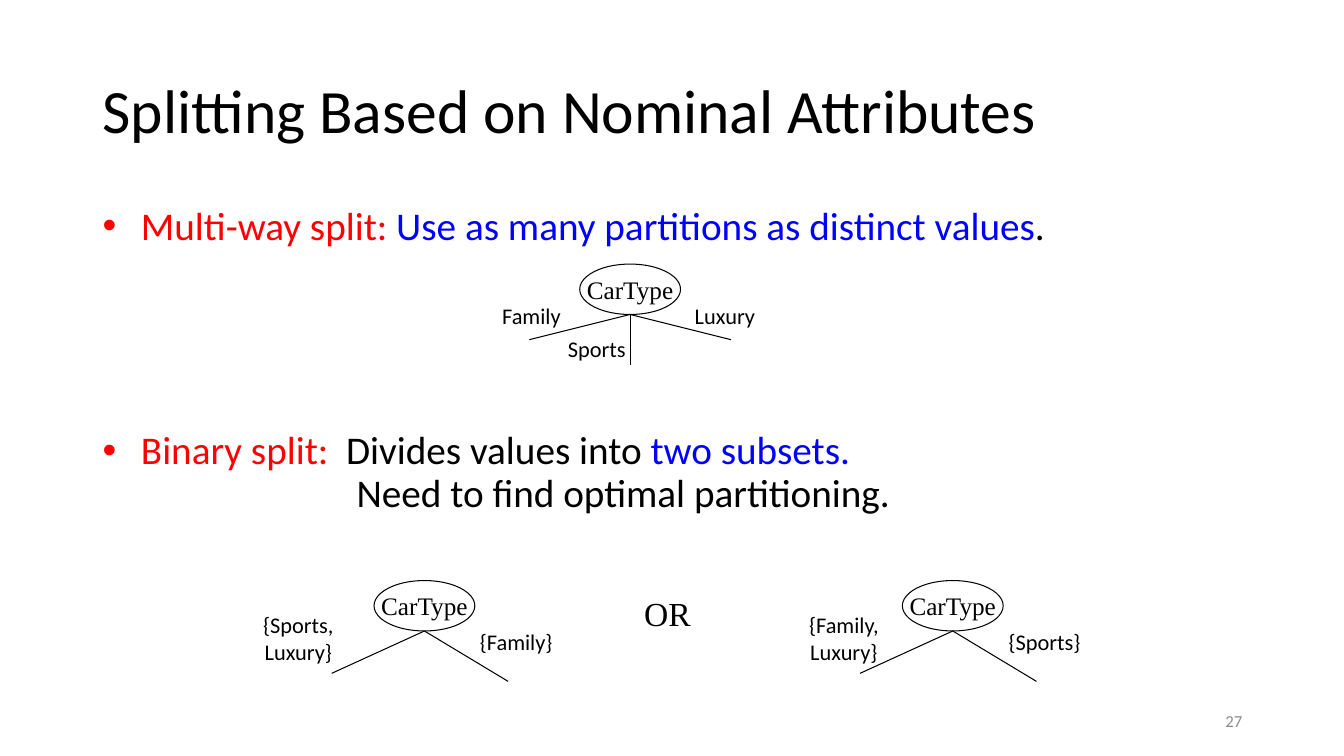
from lxml.etree import SubElement
from pptx import Presentation
from pptx.dml.color import RGBColor
from pptx.enum.shapes import MSO_CONNECTOR, MSO_SHAPE
from pptx.enum.text import MSO_ANCHOR, PP_ALIGN
from pptx.oxml.ns import qn
from pptx.util import Inches, Pt

COLORS = {"black": "000000", "red": "FF0000", "blue": "0000FF",
          "white": "FFFFFF", "gray": "8C8C8C"}
SANS, SERIF = "Calibri", "Times New Roman"


def color(name):
    return RGBColor.from_string(COLORS[name])


def write(shape, text, size, font=SANS, ink="black", align=PP_ALIGN.CENTER, wrap=False):
    frame = shape.text_frame
    frame.word_wrap = wrap
    frame.vertical_anchor = MSO_ANCHOR.MIDDLE
    para = frame.paragraphs[0]
    para.text = text
    para.alignment = align
    para.font.size = Pt(size)
    para.font.name = font
    para.font.color.rgb = color(ink)
    return para


deck = Presentation()
deck.slide_width, deck.slide_height = Inches(13.33), Inches(7.5)
page = deck.slides.add_slide(deck.slide_layouts[6])

title = page.shapes.add_textbox(Inches(0.92), Inches(0.4), Inches(11.5), Inches(1.45))
heading = write(title, "Splitting Based on Nominal Attributes", 44,
                align=PP_ALIGN.LEFT, wrap=True)
heading.line_spacing = 0.9

body = page.shapes.add_textbox(Inches(0.92), Inches(2), Inches(11.5), Inches(4.76))
body.text_frame.word_wrap = True
body_lines = [
    (0, 0.38, True, [("Multi-way split: ", "red"),
                     ("Use as many partitions as distinct values", "blue"),
                     (".", "black")]),
    (130, 0.38, True, [("Binary split:", "red"), ("  Divides values into ", "black"),
                       ("two subsets.", "blue")]),
    (0, 2.52, False, [("Need to find optimal partitioning.", "black")]),
]
for index, (gap, indent, bulleted, spans) in enumerate(body_lines):
    para = body.text_frame.add_paragraph() if index else body.text_frame.paragraphs[0]
    para.line_spacing = 0.9
    para.space_before = Pt(gap)
    para.font.size = Pt(28)
    para.font.name = SANS
    for text, ink in spans:
        span = para.add_run()
        span.text = text
        span.font.color.rgb = color(ink)
    properties = para._p.get_or_add_pPr()
    properties.set("marL", str(Inches(indent)))
    if bulleted:
        properties.set("indent", str(-Inches(indent)))
        bullet_font = SubElement(properties, qn("a:buFont"), typeface="Arial")
        bullet = SubElement(properties, qn("a:buChar"), char="•")
        properties.remove(bullet_font)
        properties.remove(bullet)
        properties.insert_element_before(bullet_font, "a:tabLst", "a:defRPr", "a:extLst")
        properties.insert_element_before(bullet, "a:tabLst", "a:defRPr", "a:extLst")

binary_branches = [(-0.92, 0.42), (0.83, 0.5)]
trees = [
    (6.25, 3.12, [(-1, 0.25), (0, 0.5), (1, 0.25)],
     [("Family", -0.98, 0.01, 0.79, 0.37), ("Sports", -0.33, 0.34, 0.78, 0.37),
      ("Luxury", 0.94, 0.01, 0.81, 0.37)]),
    (9.45, 6.26, binary_branches,
     [("{Family,\nLuxury}", -1.08, 0.07, 0.95, 0.64), ("{Sports}", 0.91, 0.1, 0.92, 0.37)]),
    (4.21, 6.26, binary_branches,
     [("{Sports,\nLuxury}", -1.25, 0.07, 1.03, 0.64), ("{Family}", 0.91, 0.1, 0.93, 0.37)]),
]
for root_x, root_y, branches, labels in trees:
    tree = page.shapes.add_group_shape().shapes
    node = tree.add_shape(MSO_SHAPE.OVAL, Inches(root_x - 0.5), Inches(root_y - 0.5),
                          Inches(1), Inches(0.5))
    node.shadow.inherit = False
    node.fill.solid()
    node.fill.fore_color.rgb = color("white")
    node.line.color.rgb = color("black")
    node.line.width = Pt(0.75)
    write(node, "CarType", 18, SERIF)
    for step_x, step_y in branches:
        branch = tree.add_connector(MSO_CONNECTOR.STRAIGHT, Inches(root_x), Inches(root_y),
                                    Inches(root_x + step_x), Inches(root_y + step_y))
        branch.line.color.rgb = color("black")
        branch.line.width = Pt(0.75)
        SubElement(branch._element.spPr, qn("a:effectLst"))
    for text, center_x, center_y, width, height in labels:
        label = tree.add_textbox(Inches(root_x + center_x - width / 2),
                                 Inches(root_y + center_y - height / 2),
                                 Inches(width), Inches(height))
        write(label, text, 16)

either = page.shapes.add_textbox(Inches(6.29), Inches(5.83), Inches(0.66), Inches(0.5))
write(either, "OR", 24, SERIF)

number = page.shapes.add_textbox(Inches(9.42), Inches(6.95), Inches(3), Inches(0.4))
write(number, "27", 12, ink="gray", align=PP_ALIGN.RIGHT, wrap=True)

deck.save("out.pptx")
